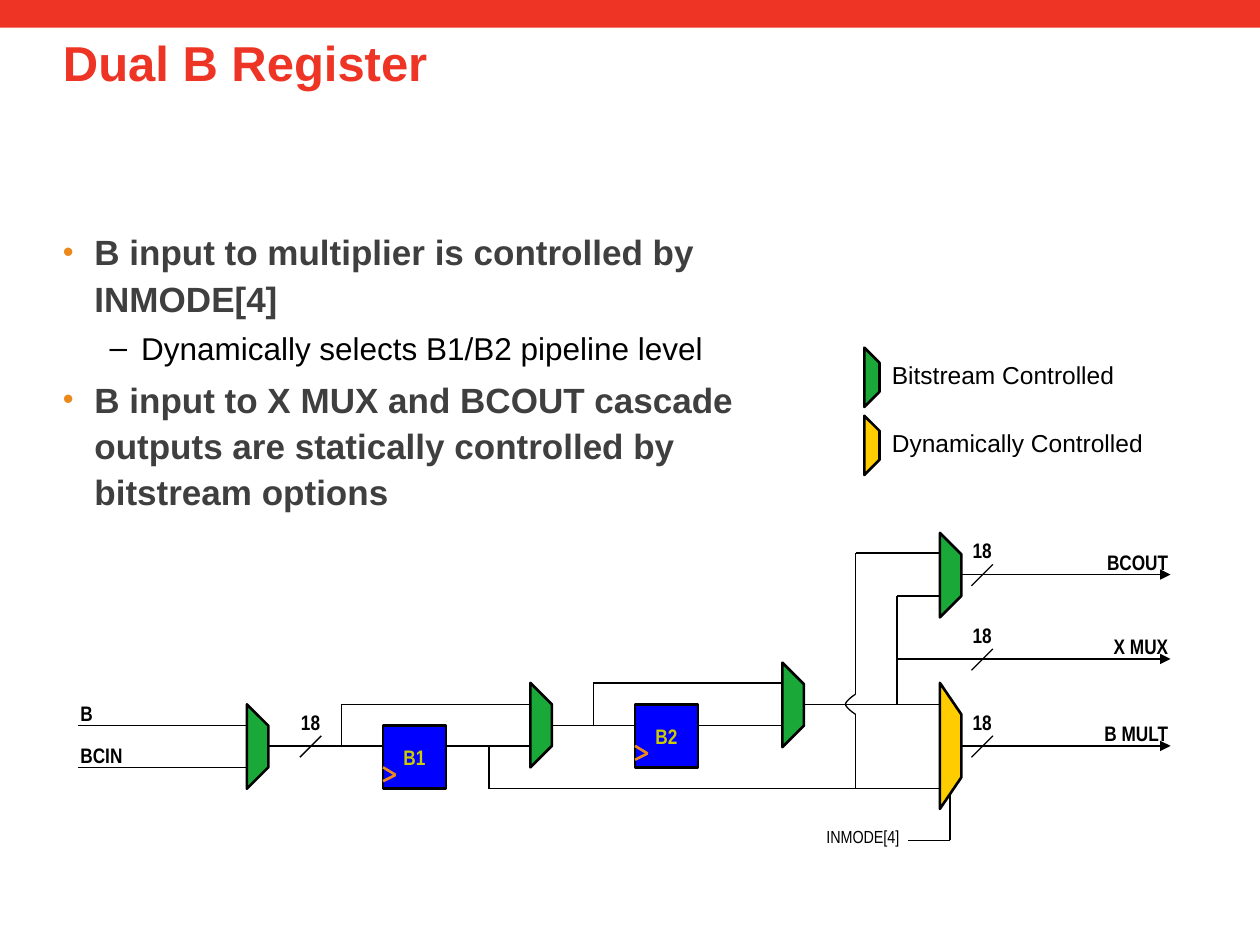
import itertools
from dataclasses import dataclass

import lxml.etree
import pptx
import pptx.dml.color
import pptx.enum.shapes
import pptx.enum.text
import pptx.oxml.ns
import pptx.util

Inches = pptx.util.Inches
Pt = pptx.util.Pt
Align = pptx.enum.text.PP_ALIGN
Anchor = pptx.enum.text.MSO_ANCHOR


@dataclass(frozen=True)
class Theme:
    """Colours, fonts and sizes of the slide."""
    red: str = "EE3424"
    gray: str = "3F3F3F"
    black: str = "000000"
    orange: str = "EC891D"
    green: str = "1AA838"
    gold: str = "FFCC00"
    blue: str = "0000FF"
    lime: str = "CCCC00"
    sans: str = "Arial"
    slim: str = "Arial Narrow"
    head: int = 28
    main: int = 20
    sub: int = 18
    key: int = 14
    tag: int = 12
    tiny: int = 10
    thin: float = 0.75
    thick: float = 1.5


def color(code):
    """Turn a hex code into a colour."""
    return pptx.dml.color.RGBColor.from_string(code)


def node(parent, name, **attrs):
    """Append a drawing element to its parent."""
    return lxml.etree.SubElement(parent, pptx.oxml.ns.qn(name), attrs)


def write(par, text, *, size, font, ink, bold=False, align=Align.LEFT, lead=None, before=0):
    """Put one formatted run in a paragraph."""
    par.alignment = align
    par.space_before = Pt(before)
    if lead:
        par.line_spacing = lead
    run = par.add_run()
    run.text = text
    run.font.size = Pt(size)
    run.font.name = font
    run.font.bold = bold
    run.font.color.rgb = color(ink)


def bullet(par, mark, ink, left, scale):
    """Give a paragraph a hanging bullet."""
    props = par._p.get_or_add_pPr()
    props.set("marL", str(Inches(left)))
    props.set("indent", str(Inches(-0.25)))
    node(node(props, "a:buClr"), "a:srgbClr", val=ink)
    node(props, "a:buSzPct", val=str(scale * 1000))
    node(props, "a:buFont", typeface="Arial")
    node(props, "a:buChar", char=mark)


class Board:
    """Draws styled elements on the current slide."""

    def __init__(self, slide, theme):
        """Keep the slide and its theme."""
        self.shapes = slide.shapes
        self.theme = theme

    def paint(self, shape, fill=None, line=None, width=0):
        """Set the fill and outline of a shape."""
        shape.shadow.inherit = False
        if fill:
            shape.fill.solid()
            shape.fill.fore_color.rgb = color(fill)
        else:
            shape.fill.background()
        if line:
            shape.line.color.rgb = color(line)
            shape.line.width = Pt(width)
        else:
            shape.line.fill.background()

    def rect(self, box, fill, line=None):
        """Draw a filled rectangle."""
        kind = pptx.enum.shapes.MSO_SHAPE.RECTANGLE
        shape = self.shapes.add_shape(kind, *map(Inches, box))
        self.paint(shape, fill, line, self.theme.thick)
        return shape

    def frame(self, box, left=0.1):
        """Add an empty text box."""
        frame = self.shapes.add_textbox(*map(Inches, box)).text_frame
        frame.word_wrap = True
        frame.margin_left = Inches(left)
        return frame

    def label(self, box, text, **style):
        """Add a one-line label in the diagram type."""
        base = dict(size=self.theme.tag, font=self.theme.slim, ink=self.theme.black, bold=True)
        write(self.frame(box).paragraphs[0], text, **{**base, **style})

    def wire(self, *points, ink=None, width=None, arrow=False):
        """Join points with straight lines."""
        kind = pptx.enum.shapes.MSO_CONNECTOR.STRAIGHT
        for start, end in itertools.pairwise(points):
            line = self.shapes.add_connector(kind, *map(Inches, (*start, *end)))
            line.line.color.rgb = color(ink or self.theme.black)
            line.line.width = Pt(width or self.theme.thin)
            if arrow:
                node(line.line._get_or_add_ln(), "a:tailEnd", type="triangle")
            node(line._element.spPr, "a:effectLst")

    def form(self, points, fill=None, width=None, close=True):
        """Draw a freeform through the points."""
        spots = [(Inches(x), Inches(y)) for x, y in points]
        build = self.shapes.build_freeform(*spots[0])
        build.add_line_segments(spots[1:], close=close)
        self.paint(build.convert_to_shape(), fill, self.theme.black, width or self.theme.thick)

    def mux(self, x, y, fill, tall=0.67, wide=0.17, cut=0.17):
        """Draw a multiplexer with its wide side on the left."""
        right, low = x + wide, y + tall
        self.form([(x, low), (right, low - cut), (right, y + cut), (x, y)], fill)

    def reg(self, x, y, text):
        """Draw a register with a clock mark."""
        theme = self.theme
        frame = self.rect((x, y, 0.5, 0.5), theme.blue, theme.black).text_frame
        frame.word_wrap = False
        frame.vertical_anchor = Anchor.MIDDLE
        write(frame.paragraphs[0], text, size=theme.tag, font=theme.slim,
              ink=theme.lime, bold=True, align=Align.CENTER)
        self.wire((x, y + 0.44), (x + 0.1, y + 0.39), (x, y + 0.33),
                  ink=theme.orange, width=theme.thick)

    def bus(self, x, y):
        """Mark a wire as a bus of 18 bits."""
        self.wire((x, y + 0.09), (x + 0.17, y - 0.08))
        self.label((x - 0.09, y - 0.34, 0.42, 0.3), "18")

    def bump(self, x, y):
        """Draw the bow of a wire that crosses another."""
        steps = [step / 8 for step in range(-8, 9)]
        self.form([(x - 0.08 * (1 - abs(t) ** 1.5), y - 0.08 * t) for t in steps],
                  width=self.theme.thin, close=False)


def main():
    """Build and save the slide."""
    deck = pptx.Presentation()
    deck.slide_width, deck.slide_height = Inches(10), Inches(7.5)
    theme = Theme()
    board = Board(deck.slides.add_slide(deck.slide_layouts[6]), theme)

    board.rect((0, 0, 10, 0.22), theme.red)
    title = board.frame((0.5, 0.23, 9, 1.25), left=0)
    write(title.paragraphs[0], "Dual B Register", size=theme.head, font=theme.sans,
          ink=theme.red, bold=True, lead=0.98)

    body = board.frame((0.5, 1.75, 6.1, 3.43), left=0)
    points = [
        (0, "B input to multiplier is controlled by INMODE[4]"),
        (1, "Dynamically selects B1/B2 pipeline level"),
        (0, "B input to X MUX and BCOUT cascade outputs are statically controlled "
            "by bitstream options"),
    ]
    looks = [
        (theme.main, theme.gray, True, ("•", theme.orange, 0.25, 88)),
        (theme.sub, theme.black, False, ("–", theme.black, 0.62, 100)),
    ]
    for row, (level, text) in enumerate(points):
        par = body.add_paragraph() if row else body.paragraphs[0]
        par.level = level
        size, ink, bold, mark = looks[level]
        write(par, text, size=size, font=theme.sans, ink=ink, bold=bold,
              lead=1.1, before=size * 0.2)
        bullet(par, *mark)

    keys = [("Bitstream Controlled", theme.green), ("Dynamically Controlled", theme.gold)]
    for row, (text, fill) in enumerate(keys):
        y = 2.76 + 0.54 * row
        board.mux(6.86, y, fill, tall=0.47, wide=0.12, cut=0.12)
        board.label((6.98, y + 0.05, 2.51, 0.33), text, size=theme.key,
                    font=theme.sans, bold=False)

    wires = [
        [(0.62, 5.76), (1.96, 5.76)],
        [(0.62, 6.09), (1.96, 6.09)],
        [(2.12, 5.92), (3.04, 5.92)],
        [(2.71, 5.92), (2.71, 5.59), (4.21, 5.59)],
        [(3.54, 5.92), (4.21, 5.92)],
        [(3.88, 5.92), (3.88, 6.26), (7.46, 6.26)],
        [(4.38, 5.76), (5.04, 5.76)],
        [(4.71, 5.76), (4.71, 5.42), (6.21, 5.42)],
        [(5.54, 5.76), (6.21, 5.76)],
        [(6.38, 5.59), (7.46, 5.59)],
        [(6.79, 6.26), (6.79, 5.67)],
        [(6.79, 5.51), (6.79, 4.39), (7.46, 4.39)],
        [(7.12, 5.59), (7.12, 4.73), (7.46, 4.73)],
        [(7.21, 6.67), (7.54, 6.67), (7.54, 6.17)],
    ]
    for wire in wires:
        board.wire(*wire)
    board.bump(6.79, 5.59)

    for x, y in [(1.96, 5.59), (4.21, 5.42), (6.21, 5.26), (7.46, 4.23)]:
        board.mux(x, y, theme.green)
    board.mux(7.46, 5.42, theme.gold, tall=1, cut=0.25)
    board.reg(3.04, 5.76, "B1")
    board.reg(5.04, 5.59, "B2")
    board.bus(2.38, 5.92)

    for x, y, text in [(7.62, 4.56, "BCOUT"), (7.12, 5.23, "X MUX"), (7.62, 5.92, "B MULT")]:
        board.wire((x, y), (9.29, y), arrow=True)
        board.bus(7.71, y)
        board.label((8.37, y - 0.25, 1, 0.25), text, align=Align.RIGHT)
    board.label((0.54, 5.51, 0.67, 0.25), "B")
    board.label((0.54, 5.84, 0.67, 0.25), "BCIN")
    board.label((6.46, 6.51, 0.83, 0.27), "INMODE[4]", size=theme.tiny, bold=False)
    deck.save("out.pptx")


if __name__ == "__main__":
    main()
